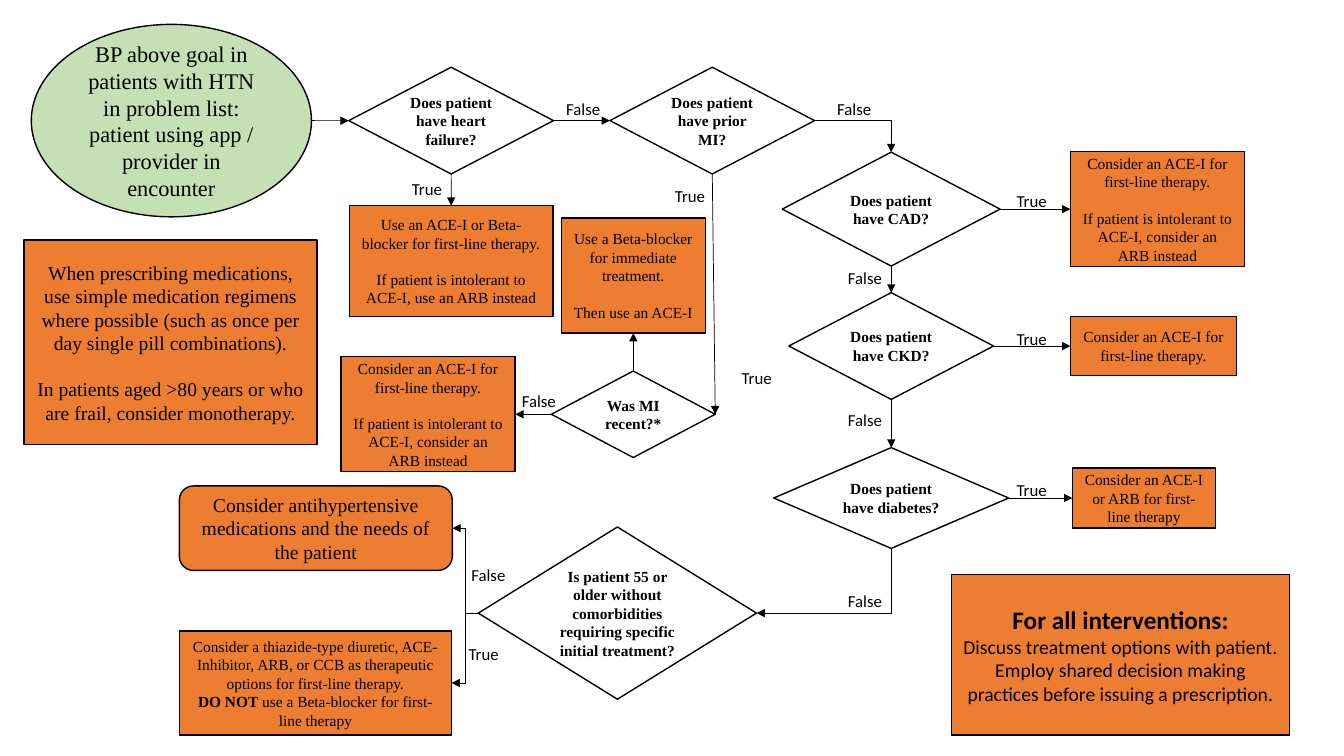
"""Build the flowchart for choosing first-line blood pressure therapy."""
from lxml import etree
from pptx import Presentation
from pptx import util as u
from pptx.dml.color import RGBColor
from pptx.enum import shapes as es, text as et
from pptx.oxml.ns import qn

BLACK = RGBColor(0, 0, 0)
GREEN = RGBColor(0xC5, 0xE0, 0xB4)
ORANGE = RGBColor(0xED, 0x7D, 0x31)
SERIF, SANS = "Times New Roman", "Calibri"

TOP, CAD, CKD, DIAB, RECENT, AGE = 3.04, 5.27, 8.72, 12.55, 10.44, 15.45
HEART, PRIOR, MID, MAIN = 11.37, 17.95, 15.96, 22.46
ACE = "Consider an ACE-I for first-line therapy."
SWAP = "If patient is intolerant to ACE-I, consider an ARB instead"

# name: (centre x, centre y, width, height, text)
ASKS = {
    "heart": (HEART, TOP, 5.16, 2.69, "Does patient have heart failure?"),
    "prior": (PRIOR, TOP, 5.16, 2.69, "Does patient have prior MI?"),
    "cad": (MAIN, CAD, 5.49, 2.87, "Does patient have CAD?"),
    "ckd": (MAIN, CKD, 5.16, 2.69, "Does patient have CKD?"),
    "diab": (MAIN, DIAB, 5.92, 2.54, "Does patient have diabetes?"),
    "recent": (MID, RECENT, 4.13, 2.18, "Was MI recent?*"),
    "age": (15.56, AGE, 7.01, 4.34, "Is patient 55 or older without comorbidities "
            "requiring specific initial treatment?"),
}
ACTS = {
    "heart do": (HEART, 6.58, 5.13, 2.79, 11, 1, [
        "Use an ACE-I or Beta-blocker for first-line therapy.",
        "If patient is intolerant to ACE-I, use an ARB instead"]),
    "beta": (MID, 6.94, 3.63, 2.9, 11, 1, [
        "Use a Beta-blocker for immediate treatment.", "Then use an ACE-I"]),
    "late": (10.79, RECENT, 4.39, 2.9, 11, 1, [ACE, SWAP]),
    "cad do": (29.17, CAD, 4.39, 2.9, 11, 1, [ACE, SWAP]),
    "ckd do": (29.07, CKD, 4.19, 1.5, 11, 0, [ACE]),
    "diab do": (28.83, DIAB, 3.61, 1.52, 11, 0, [
        "Consider an ACE-I or ARB for first-line therapy"]),
    "needs": (7.96, 13.31, 6.88, 2.13, 14, 0, [
        "Consider antihypertensive medications and the needs of the patient"]),
    "thiazide": (7.95, 17.21, 6.86, 2.62, 11, 0, [
        "Consider a thiazide-type diuretic, ACE-Inhibitor, ARB, or CCB as "
        "therapeutic options for first-line therapy.",
        "DO NOT |use a Beta-blocker for first-line therapy"]),
    "simple": (4.3, 8.63, 7.39, 5.16, 14, 1, [
        "When prescribing medications, use simple medication regimens where "
        "possible (such as once per day single pill combinations).",
        "In patients aged >80 years or who are frail, consider monotherapy."]),
    "all": (28.24, 16.5, 8.51, 4.04, 14, 0, [
        "For all interventions:|",
        "Discuss treatment options with patient. Employ shared decision making "
        "practices before issuing a prescription."]),
}
START = (4.32, TOP, 7.06, 4.85, "BP above goal in patients with HTN in problem "
         "list: patient using app / provider in encounter")

UP, LEFT, DOWN, RIGHT = range(4)
OVAL = "6"
LINKS = [
    ("start", RIGHT, "heart", LEFT), ("heart", RIGHT, "prior", LEFT),
    ("heart", DOWN, "heart do", UP), ("prior", DOWN, "recent", RIGHT),
    ("recent", UP, "beta", DOWN), ("recent", LEFT, "late", RIGHT),
    ("cad", RIGHT, "cad do", LEFT), ("ckd", RIGHT, "ckd do", LEFT),
    ("diab", RIGHT, "diab do", LEFT), ("cad", DOWN, "ckd", UP),
    ("ckd", DOWN, "diab", UP),
]
BENDS = [
    ("prior", RIGHT, "cad", UP), ("diab", DOWN, "age", RIGHT),
    ("age", LEFT, "needs", RIGHT), ("age", LEFT, "thiazide", RIGHT),
]
LABELS = {
    "True": [(25.37, 4.67), (25.37, 8.15), (25.37, 11.96), (18.44, 9.14),
             (16.76, 4.55), (10.13, 4.37), (11.56, 16.1)],
    "False": [(14.02, 2.36), (20.85, 2.36), (21.12, 6.63), (21.12, 10.19),
              (21.12, 14.76), (12.9, 9.73), (11.63, 14.1)],
}

deck = Presentation()
deck.slide_width, deck.slide_height = u.Cm(33.87), u.Cm(19.05)
slide = deck.slides.add_slide(deck.slide_layouts[6])
nodes = {}


def style(run, size, face, bold=False):
    run.font.size, run.font.name, run.font.bold = u.Pt(size), face, bold
    run.font.color.rgb = BLACK


def node(name, kind, x, y, w, h, fill, size, gap, paras, face=SERIF, bold=False):
    box = slide.shapes.add_shape(
        kind, u.Cm(x - w / 2), u.Cm(y - h / 2), u.Cm(w), u.Cm(h))
    box.shadow.inherit = False
    if fill is None:
        box.fill.background()
    else:
        box.fill.solid()
        box.fill.fore_color.rgb = fill
    box.line.color.rgb, box.line.width = BLACK, u.Pt(1)
    frame = box.text_frame
    frame.word_wrap, frame.vertical_anchor = True, et.MSO_ANCHOR.MIDDLE
    for i, words in enumerate(paras):
        para = frame.paragraphs[0] if i == 0 else frame.add_paragraph()
        para.alignment = et.PP_ALIGN.CENTER
        if i and gap:
            para.space_before = u.Pt(size * 1.15)
        head, bar, tail = words.partition("|")
        para.text = head
        style(para.runs[0], size, face, bold or bool(bar))
        if tail:
            run = para.add_run()
            run.text = tail
            style(run, size, face)
    nodes[name] = box


def link(kind, src, out, dst, into):
    line = slide.shapes.add_connector(kind, 0, 0, 0, 0)
    line.begin_connect(nodes[src], out)
    line.end_connect(nodes[dst], into)
    if src == "start":
        next(line._element.iter(qn("a:stCxn"))).set("idx", OVAL)
    line.line.color.rgb, line.line.width = BLACK, u.Pt(0.5)
    props = line._element.spPr
    etree.SubElement(props.find(qn("a:ln")), qn("a:tailEnd"), type="triangle")
    etree.SubElement(props, qn("a:effectLst"))
    if kind == es.MSO_CONNECTOR.ELBOW and (out, into) != (LEFT, RIGHT):
        props.find(qn("a:prstGeom")).set("prst", "bentConnector2")
        if out == DOWN:
            turn(line, props.find(qn("a:xfrm")))


def turn(line, form):
    x, y, w, h = line.left, line.top, line.width, line.height
    line.left, line.top = x + (w - h) // 2, y + (h - w) // 2
    line.width, line.height = h, w
    form.attrib.pop("flipH", None)
    form.set("rot", "5400000")


node("start", es.MSO_SHAPE.OVAL, *START[:4], GREEN, 16, 0, START[4:])
for name, (*area, words) in ASKS.items():
    node(name, es.MSO_SHAPE.DIAMOND, *area, None, 11, 0, [words], bold=True)
for name, (*area, size, gap, paras) in ACTS.items():
    kind = es.MSO_SHAPE.ROUNDED_RECTANGLE if name == "needs" else es.MSO_SHAPE.RECTANGLE
    face = SANS if name == "all" else SERIF
    node(name, kind, *area, ORANGE, size, gap, paras, face)
nodes["all"].text_frame.paragraphs[0].runs[0].font.size = u.Pt(18)

for ends in LINKS:
    link(es.MSO_CONNECTOR.STRAIGHT, *ends)
for ends in BENDS:
    link(es.MSO_CONNECTOR.ELBOW, *ends)

for word, spots in LABELS.items():
    for x, y in spots:
        frame = slide.shapes.add_textbox(
            u.Cm(x), u.Cm(y), u.Cm(1.45), u.Cm(0.77)).text_frame
        frame.word_wrap = True
        frame.text = word
        style(frame.paragraphs[0].runs[0], 12, SANS)

deck.save("out.pptx")
